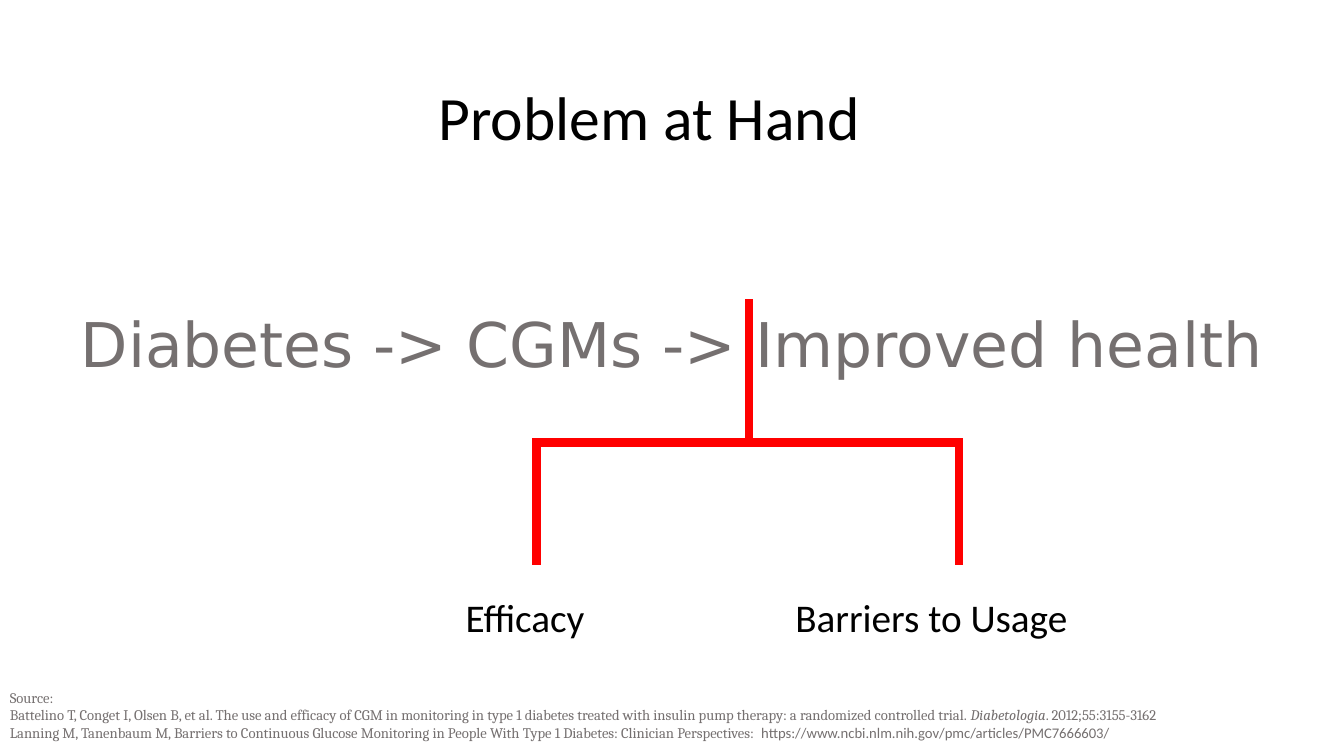
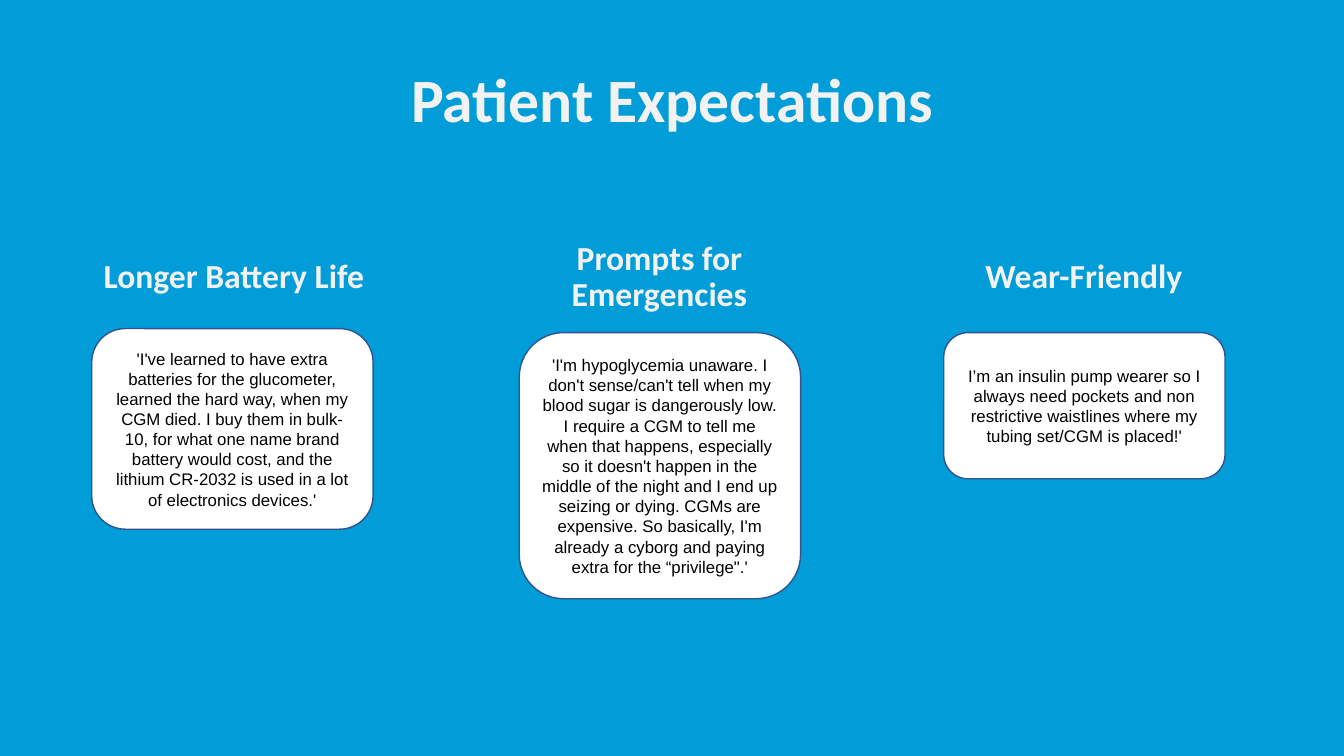
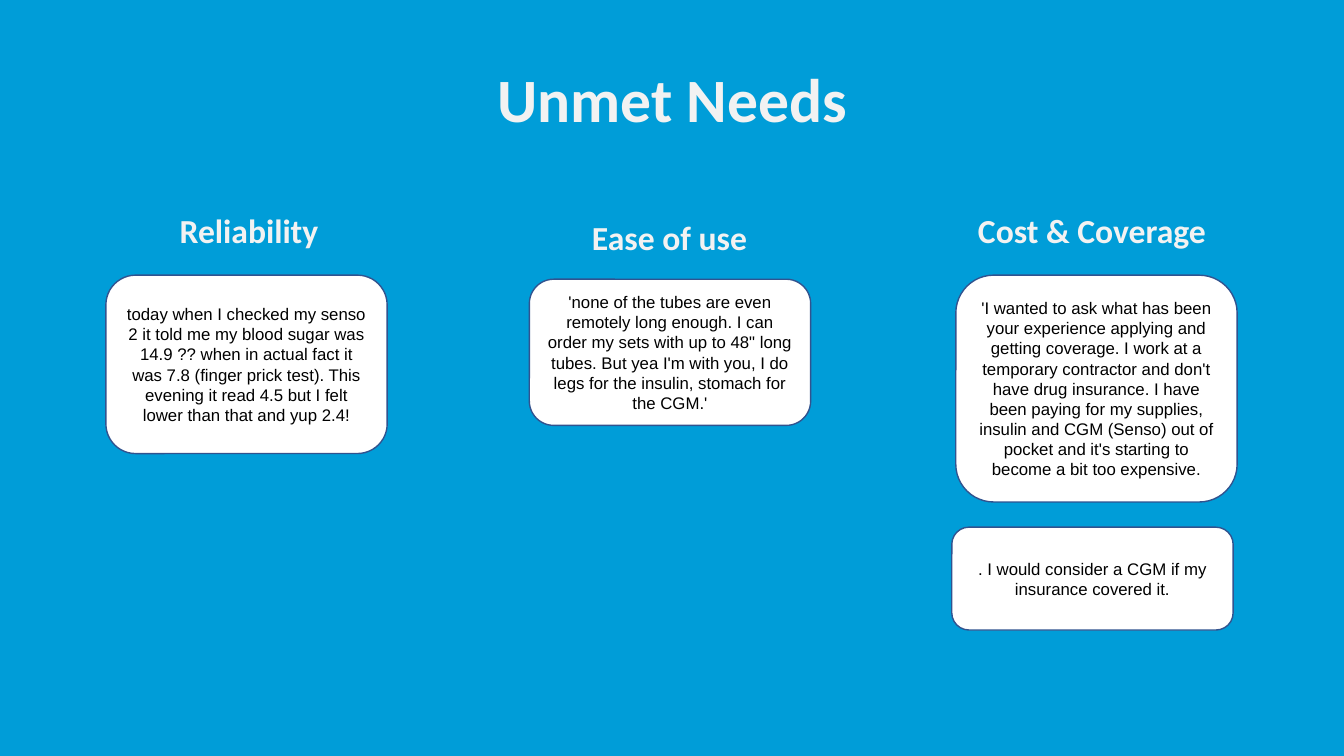
from dataclasses import dataclass

from lxml.etree import SubElement
from pptx import Presentation
from pptx.dml.color import RGBColor
from pptx.enum.shapes import MSO_CONNECTOR, MSO_SHAPE
from pptx.enum.text import MSO_ANCHOR, PP_ALIGN
from pptx.oxml.ns import qn
from pptx.util import Emu, Pt

PX = 9144  # EMU per px, 100 px to the inch


@dataclass(frozen=True)
class Theme:
    white: str = "FFFFFF"
    black: str = "000000"
    blue: str = "009DD8"
    pale: str = "F2F2F2"
    gray: str = "757070"
    red: str = "FF0000"
    card_edge: str = "31538F"
    title_size: float = 44
    label_size: float = 28
    heading_size: float = 24
    quote_size: float = 12
    source_size: float = 10.5
    font: str = "Calibri"
    chain_font: str = "DejaVu Sans"
    quote_font: str = "Arial"
    source_font: str = "Cambria"
    line_spacing: float = 0.9
    branch_width: float = 6
    card_width: int = 279
    heading_width: int = 332
    heading_height: int = 145


class Deck:
    def __init__(self, theme):
        self.theme = theme
        self.deck = Presentation()
        self.deck.slide_width = Emu(1333 * PX)
        self.deck.slide_height = Emu(750 * PX)
        self.page = None

    def new_page(self, color):
        self.page = self.deck.slides.add_slide(self.deck.slide_layouts[6])
        fill = self.page.background.fill
        fill.solid()
        fill.fore_color.rgb = RGBColor.from_string(color)

    def add_span(self, para, text, size, color, font, bold=False, italic=False):
        span = para.add_run()
        span.text = text
        span.font.size = Pt(size)
        span.font.name = font
        span.font.bold = bold
        span.font.italic = italic
        span.font.color.rgb = RGBColor.from_string(color)

    def text_box(self, left, top, width, height):
        box = self.page.shapes.add_textbox(*(Emu(n * PX) for n in (left, top, width, height)))
        box.text_frame.word_wrap = True
        return box.text_frame

    def centered(self, area, text, size, color, font=None, bold=False):
        frame = self.text_box(*area)
        frame.vertical_anchor = MSO_ANCHOR.MIDDLE
        para = frame.paragraphs[0]
        para.alignment = PP_ALIGN.CENTER
        para.line_spacing = self.theme.line_spacing
        self.add_span(para, text, size, color, font or self.theme.font, bold)

    def title(self, text, left=92, top=29, color=None, bold=True):
        theme = self.theme
        self.centered((left, top, 1150, 145), text, theme.title_size, color or theme.pale, bold=bold)

    def heading(self, left, top, text):
        theme = self.theme
        area = (left, top, theme.heading_width, theme.heading_height)
        self.centered(area, text, theme.heading_size, theme.pale, bold=True)

    def card(self, left, top, height, text):
        theme = self.theme
        area = (left, top, theme.card_width, height)
        shape = self.page.shapes.add_shape(MSO_SHAPE.ROUNDED_RECTANGLE, *(Emu(n * PX) for n in area))
        shape.shadow.inherit = False
        shape.fill.solid()
        shape.fill.fore_color.rgb = RGBColor.from_string(theme.white)
        shape.line.color.rgb = RGBColor.from_string(theme.card_edge)
        shape.line.width = Pt(1)
        frame = shape.text_frame
        frame.word_wrap = True
        frame.vertical_anchor = MSO_ANCHOR.MIDDLE
        para = frame.paragraphs[0]
        para.alignment = PP_ALIGN.CENTER
        self.add_span(para, text, theme.quote_size, theme.black, theme.quote_font)

    def label(self, left, top, width, text):
        theme = self.theme
        frame = self.text_box(left, top, width, 57)
        self.add_span(frame.paragraphs[0], text, theme.label_size, theme.black, theme.font)

    def branch(self, *ends):
        line = self.page.shapes.add_connector(MSO_CONNECTOR.STRAIGHT, *(Emu(n * PX) for n in ends))
        line.line.color.rgb = RGBColor.from_string(self.theme.red)
        line.line.width = Pt(self.theme.branch_width)
        SubElement(line._element.spPr, qn("a:effectLst"))

    def sources(self, area, lines):
        theme = self.theme
        frame = self.text_box(*area)
        for index, spans in enumerate(lines):
            para = frame.add_paragraph() if index else frame.paragraphs[0]
            for text, font, italic in spans:
                self.add_span(para, text, theme.source_size, theme.gray, font, italic=italic)

    def quote_page(self, title, headings, cards):
        self.new_page(self.theme.blue)
        self.title(title)
        for card in cards:
            self.card(*card)
        for heading in headings:
            self.heading(*heading)


def problem_page(deck):
    theme = deck.theme
    deck.new_page(theme.white)
    deck.title("Problem at Hand", 69, 47, theme.black, bold=False)
    deck.centered((46, 272, 1242, 145), "Diabetes -> CGMs -> Improved health",
                  theme.title_size, theme.gray, theme.chain_font)

    # Fork from the chain down to the two obstacles
    deck.branch(743, 297, 743, 439)
    deck.branch(954, 439, 532, 439)
    for x in (532, 951):
        deck.branch(x, 435, x, 561)
    deck.label(452, 584, 150, "Efficacy")
    deck.label(779, 584, 293, "Barriers to Usage")

    # References
    serif = theme.source_font
    deck.sources((0, 678, 1246, 98), [
        [("Source:", serif, False)],
        [("Battelino T, Conget I, Olsen B, et al. The use and efficacy of CGM in monitoring in type 1 "
          "diabetes treated with insulin pump therapy: a randomized controlled trial. ", serif, False),
         ("Diabetologia", serif, True),
         (". 2012;55:3155-3162", serif, False)],
        [("Lanning M, Tanenbaum M, Barriers to Continuous Glucose Monitoring in People With Type 1 "
          "Diabetes: Clinician Perspectives:  ", serif, False),
         ("https://www.ncbi.nlm.nih.gov/pmc/articles/PMC7666603/", theme.font, False)],
    ])


def expectations_page(deck):
    deck.quote_page(
        "Patient Expectations",
        [(66, 203, "Longer Battery Life"),
         (488, 203, "Prompts for Emergencies"),
         (909, 203, "Wear-Friendly")],
        [(91, 326, 199,
          "'I've learned to have extra batteries for the glucometer, learned the hard way, when my CGM "
          "died. I buy them in bulk- 10, for what one name brand battery would cost, and the lithium "
          "CR-2032 is used in a lot of electronics devices.'"),
         (515, 330, 264,
          "'I'm hypoglycemia unaware. I don't sense/can't tell when my blood sugar is dangerously low. "
          "I require a CGM to tell me when that happens, especially so it doesn't happen in the middle "
          "of the night and I end up seizing or dying. CGMs are expensive. So basically, I'm already a "
          "cyborg and paying extra for the “privilege\".'"),
         (936, 330, 145,
          "I’m an insulin pump wearer so I always need pockets and non restrictive waistlines where my "
          "tubing set/CGM is placed!'")])


def needs_page(deck):
    deck.quote_page(
        "Unmet Needs",
        [(81, 158, "Reliability"),
         (498, 165, "Ease of use"),
         (917, 158, "Cost & Coverage")],
        [(105, 273, 177,
          "today when I checked my senso 2 it told me my blood sugar was 14.9 ?? when in actual fact it "
          "was 7.8 (finger prick test). This evening it read 4.5 but I felt lower than that and yup 2.4!"),
         (525, 277, 145,
          "'none of the tubes are even remotely long enough. I can order my sets with up to 48\" long "
          "tubes. But yea I'm with you, I do legs for the insulin, stomach for the CGM.'"),
         (944, 523, 102, ". I would consider a CGM if my insurance covered it."),
         (948, 273, 225,
          "'I wanted to ask what has been your experience applying and getting coverage. I work at a "
          "temporary contractor and don't have drug insurance. I have been paying for my supplies, "
          "insulin and CGM (Senso) out of pocket and it's starting to become a bit too expensive.")])


def main():
    deck = Deck(Theme())
    problem_page(deck)
    expectations_page(deck)
    needs_page(deck)
    deck.deck.save("out.pptx")


if __name__ == "__main__":
    main()
